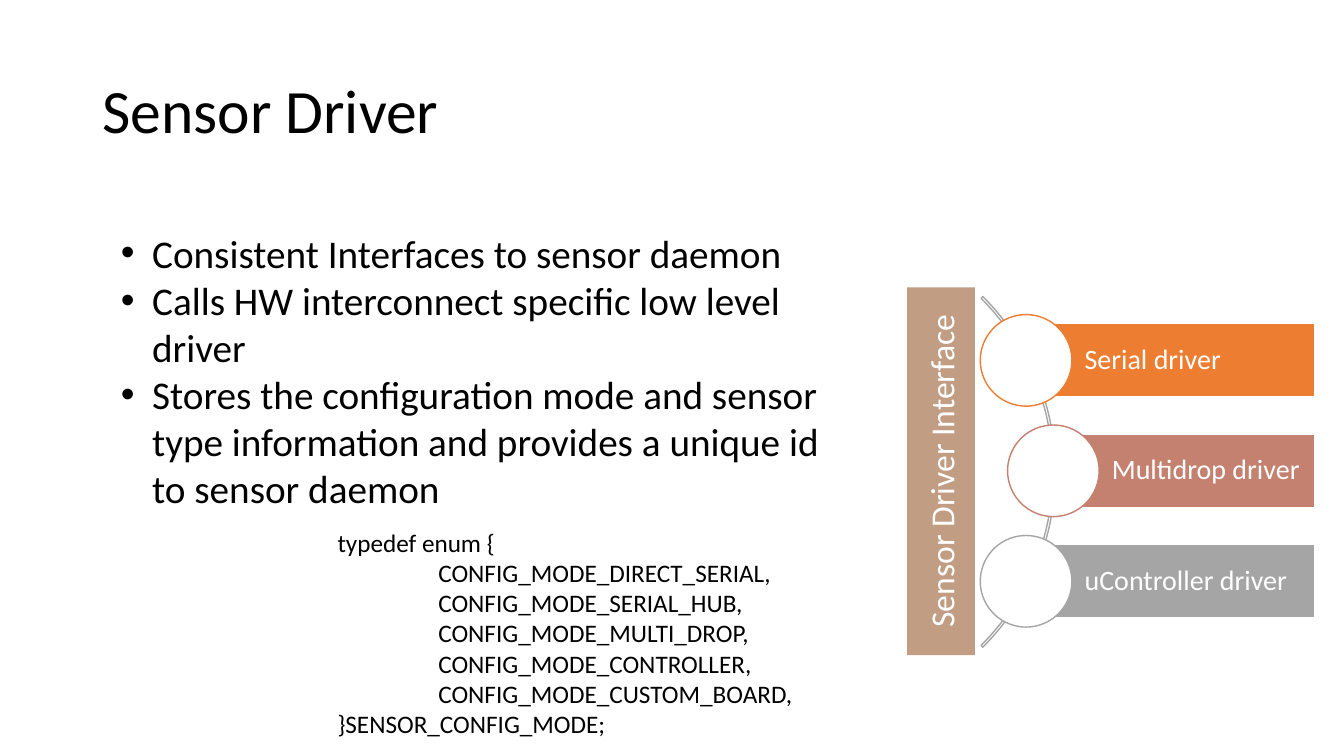
from dataclasses import dataclass

from lxml.etree import SubElement
from pptx import Presentation
from pptx.dml.color import RGBColor
from pptx.enum.shapes import MSO_SHAPE
from pptx.enum.text import MSO_ANCHOR, MSO_AUTO_SIZE, PP_ALIGN
from pptx.oxml.ns import qn
from pptx.util import Inches, Pt

COLUMNS, ROWS = 32, 18


@dataclass(frozen=True)
class Theme:
    font: str = "Calibri"
    ink: str = "000000"
    paper: str = "FFFFFF"
    brown: str = "843C0B"
    orange: str = "ED7D31"
    rose: str = "C48170"
    grey: str = "A5A5A5"
    title: int = 44
    body: int = 28
    interface: int = 24
    driver: int = 20
    code: int = 18


def write(frame, lines, size, color, font, align=PP_ALIGN.LEFT, anchor=MSO_ANCHOR.TOP,
          spacing=1.0, indents=None, hanging=0):
    frame.word_wrap = True
    frame.auto_size = MSO_AUTO_SIZE.NONE
    frame.vertical_anchor = anchor
    for index, line in enumerate(lines):
        para = frame.paragraphs[0] if index == 0 else frame.add_paragraph()
        para.alignment = align
        para.line_spacing = spacing
        para.space_before = Pt(0)
        if indents:
            properties = para._p.get_or_add_pPr()
            properties.set("marL", str(Inches(indents[index])))
            properties.set("indent", str(Inches(hanging)))
        span = para.add_run()
        span.text = line
        span.font.name = font
        span.font.size = Pt(size)
        span.font.color.rgb = RGBColor.from_string(color)


class SlideBuilder:
    def __init__(self, deck, theme):
        self.theme = theme
        self.cell_width = deck.slide_width / COLUMNS
        self.cell_height = deck.slide_height / ROWS
        self.page = deck.slides.add_slide(deck.slide_layouts[1])

    def place(self, column, row, columns, rows):
        return (round(column * self.cell_width), round(row * self.cell_height),
                round(columns * self.cell_width), round(rows * self.cell_height))

    def text(self, frame, lines, size, color=None, **style):
        write(frame, lines, size, color or self.theme.ink, self.theme.font, **style)

    def placeholder(self, index, area, lines, size, **style):
        box = self.page.placeholders[index]
        box.left, box.top, box.width, box.height = self.place(*area)
        self.text(box.text_frame, lines, size, **style)

    def text_box(self, area, lines, size, **style):
        box = self.page.shapes.add_textbox(*self.place(*area))
        self.text(box.text_frame, lines, size, **style)

    def shape(self, kind, area, fill=None, line=None, opacity=None):
        shape = self.page.shapes.add_shape(kind, *self.place(*area))
        shape.shadow.inherit = False
        if fill:
            shape.fill.solid()
            shape.fill.fore_color.rgb = RGBColor.from_string(fill)
        else:
            shape.fill.background()
        if line:
            shape.line.color.rgb = RGBColor.from_string(line)
            shape.line.width = Pt(1)
        else:
            shape.line.fill.background()
        if opacity:
            color = shape._element.spPr.find(qn("a:solidFill"))[0]
            SubElement(color, qn("a:alpha")).set("val", str(opacity * 1000))
        return shape

    def arc(self, area, color):
        arc = self.shape(MSO_SHAPE.BLOCK_ARC, area, line=color)
        for index, value in enumerate((189, 27, 0.005)):
            arc.adjustments[index] = value

    def driver(self, name, color, center, middle, right=31.3, height=1.75, diameter=2.18):
        theme = self.theme
        bar = self.shape(MSO_SHAPE.RECTANGLE,
                         (center, middle - height / 2, right - center, height),
                         color, theme.paper)
        frame = bar.text_frame
        frame.margin_left = Inches(0.58)
        frame.margin_right = frame.margin_top = frame.margin_bottom = Inches(0.06)
        self.text(frame, [name], theme.driver, theme.paper,
                  anchor=MSO_ANCHOR.MIDDLE, spacing=0.9)
        self.shape(MSO_SHAPE.OVAL,
                   (center - diameter / 2, middle - diameter / 2, diameter, diameter),
                   theme.paper, color)

    def interface(self, area, name):
        theme = self.theme
        panel = self.shape(MSO_SHAPE.RECTANGLE, area, theme.brown, opacity=50)
        self.text(panel.text_frame, [name], theme.interface, theme.paper,
                  align=PP_ALIGN.CENTER, anchor=MSO_ANCHOR.MIDDLE)
        panel.text_frame._txBody.bodyPr.set("vert", "vert270")


def main():
    deck = Presentation()
    deck.slide_width, deck.slide_height = Inches(13.33), Inches(7.5)
    theme = Theme()
    builder = SlideBuilder(deck, theme)

    builder.placeholder(0, (2.2, 0.96, 27.6, 3.48), ["Sensor Driver"], theme.title,
                        anchor=MSO_ANCHOR.MIDDLE, spacing=0.9)

    builder.arc((13.32, 5.33, 11.81, 11.81), theme.grey)
    drivers = [
        ("Serial driver", theme.orange, 24.43),
        ("Multidrop driver", theme.rose, 25.08),
        ("uController driver", theme.grey, 24.43),
    ]
    for index, (name, color, center) in enumerate(drivers):
        builder.driver(name, color, center, 8.58 + 2.63 * index)
    builder.interface((21.6, 6.84, 1.61, 8.76), "Sensor Driver Interface")

    points = [
        "Consistent Interfaces to sensor daemon",
        "Calls HW interconnect specific low level driver",
        "Stores the configuration mode and sensor type information "
        "and provides a unique id to sensor daemon",
    ]
    builder.placeholder(1, (2.64, 5.33, 17.3, 7.75), points, theme.body,
                        indents=[0.31] * len(points), hanging=-0.31)

    modes = ["DIRECT_SERIAL", "SERIAL_HUB", "MULTI_DROP", "CONTROLLER", "CUSTOM_BOARD"]
    code = ["typedef enum {", *(f"CONFIG_MODE_{mode}," for mode in modes),
            "}SENSOR_CONFIG_MODE;"]
    builder.text_box((7.8, 12.43, 12.17, 5.33), code, theme.code,
                     indents=[0, *[1] * len(modes), 0])

    deck.save("out.pptx")


if __name__ == "__main__":
    main()
